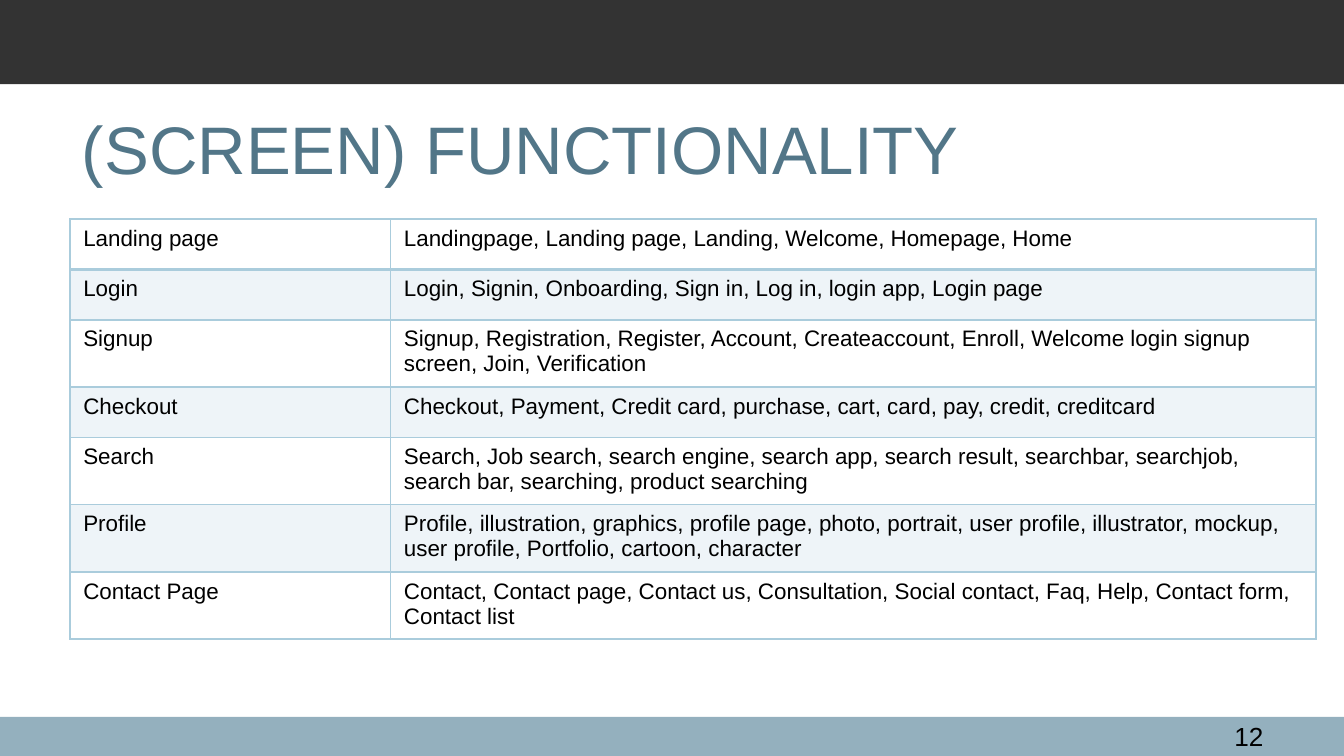
from lxml import etree
from pptx import Presentation
from pptx.dml.color import RGBColor
from pptx.enum.shapes import MSO_SHAPE
from pptx.enum.text import MSO_ANCHOR, PP_ALIGN
from pptx.oxml.ns import qn
from pptx.util import Cm, Pt

RECTANGLE = MSO_SHAPE.RECTANGLE
TOP, MIDDLE = MSO_ANCHOR.TOP, MSO_ANCHOR.MIDDLE
LEFT, RIGHT = PP_ALIGN.LEFT, PP_ALIGN.RIGHT

FONT = "Arial"
BLACK = RGBColor(0x00, 0x00, 0x00)
WHITE = RGBColor(0xFF, 0xFF, 0xFF)
CHARCOAL = RGBColor(0x33, 0x33, 0x33)
FOOTER_BLUE = RGBColor(0x94, 0xB0, 0xBE)
TITLE_BLUE = RGBColor(0x52, 0x76, 0x88)
TABLE_BLUE = RGBColor(0xAA, 0xCC, 0xDC)
BAND_OPACITY = 20

TITLE = "(SCREEN) FUNCTIONALITY"
PAGE_NUMBER = "12"
SCREENS = [
    ("Landing page", "Landingpage, Landing page, Landing, Welcome, Homepage, Home"),
    ("Login", "Login, Signin, Onboarding, Sign in, Log in, login app, Login page"),
    ("Signup", "Signup, Registration, Register, Account, Createaccount, Enroll, "
               "Welcome login signup screen, Join, Verification"),
    ("Checkout", "Checkout, Payment, Credit card, purchase, cart, card, pay, credit, creditcard"),
    ("Search", "Search, Job search, search engine, search app, search result, searchbar, "
               "searchjob, search bar, searching, product searching"),
    ("Profile", "Profile, illustration, graphics, profile page, photo, portrait, user profile, "
                "illustrator, mockup, user profile, Portfolio, cartoon, character"),
    ("Contact Page", "Contact, Contact page, Contact us, Consultation, Social contact, Faq, "
                     "Help, Contact form, Contact list"),
]
COLUMN_WIDTHS = [Cm(6.06), Cm(17.49)]
ROW_HEIGHTS = [Cm(h) for h in (0.95, 0.95, 1.22, 0.95, 1.2, 1.2, 1.2)]

SLIDE_WIDTH, SLIDE_HEIGHT = Cm(25.4), Cm(14.28)
HEADER_HEIGHT, FOOTER_HEIGHT = Cm(1.59), Cm(0.74)


def add_band(slide, top, height, color):
    band = slide.shapes.add_shape(RECTANGLE, 0, top, SLIDE_WIDTH, height)
    band.shadow.inherit = False
    band.fill.solid()
    band.fill.fore_color.rgb = color
    band.line.fill.background()


def add_run(paragraph, text, size, color):
    run = paragraph.add_run()
    run.text = text
    run.font.name = FONT
    run.font.size = Pt(size)
    run.font.color.rgb = color


def add_text(slide, box, text, size, color, align, anchor):
    frame = slide.shapes.add_textbox(*box).text_frame
    frame.word_wrap = True
    frame.vertical_anchor = anchor
    frame.paragraphs[0].alignment = align
    add_run(frame.paragraphs[0], text, size, color)


def set_border(cell, side, index, points):
    line = etree.Element(qn(f"a:ln{side}"), w=str(Pt(points)))
    fill = etree.SubElement(line, qn("a:solidFill"))
    etree.SubElement(fill, qn("a:srgbClr"), val=str(TABLE_BLUE))
    cell._tc.get_or_add_tcPr().insert(index, line)


def fill_cell(cell, banded):
    if not banded:
        cell.fill.background()
        return
    cell.fill.solid()
    cell.fill.fore_color.rgb = TABLE_BLUE
    color = cell._tc.tcPr.find(".//" + qn("a:srgbClr"))
    etree.SubElement(color, qn("a:alpha"), val=str(BAND_OPACITY * 1000))


def add_screen_table(slide):
    table = slide.shapes.add_table(
        len(SCREENS), len(COLUMN_WIDTHS), Cm(1.32), Cm(4.14),
        sum(COLUMN_WIDTHS), sum(ROW_HEIGHTS)).table
    table.first_row = False
    table.horz_banding = False
    for column, width in zip(table.columns, COLUMN_WIDTHS):
        column.width = width
    for r, (entry, height) in enumerate(zip(SCREENS, ROW_HEIGHTS)):
        table.rows[r].height = height
        for c, text in enumerate(entry):
            cell = table.cell(r, c)
            add_run(cell.text_frame.paragraphs[0], text, 12, BLACK)
            fill_cell(cell, r % 2 == 1)
            widths = {"L": 1, "R": 1, "T": 2 if r == 1 else 1, "B": 2 if r == 0 else 1}
            for index, (side, points) in enumerate(widths.items()):
                set_border(cell, side, index, points)


def main():
    deck = Presentation()
    deck.slide_width, deck.slide_height = SLIDE_WIDTH, SLIDE_HEIGHT
    slide = deck.slides.add_slide(deck.slide_layouts[6])
    slide.background.fill.solid()
    slide.background.fill.fore_color.rgb = WHITE

    add_band(slide, SLIDE_HEIGHT - FOOTER_HEIGHT, FOOTER_HEIGHT, FOOTER_BLUE)
    add_band(slide, 0, HEADER_HEIGHT, CHARCOAL)
    add_text(slide, (Cm(22.5), Cm(13.49), Cm(1.63), Cm(0.46)),
             PAGE_NUMBER, 14, BLACK, RIGHT, TOP)
    add_screen_table(slide)
    add_text(slide, (Cm(1.3), HEADER_HEIGHT, Cm(22.86), Cm(2.39)),
             TITLE, 36, TITLE_BLUE, LEFT, MIDDLE)
    deck.save("out.pptx")


if __name__ == "__main__":
    main()
